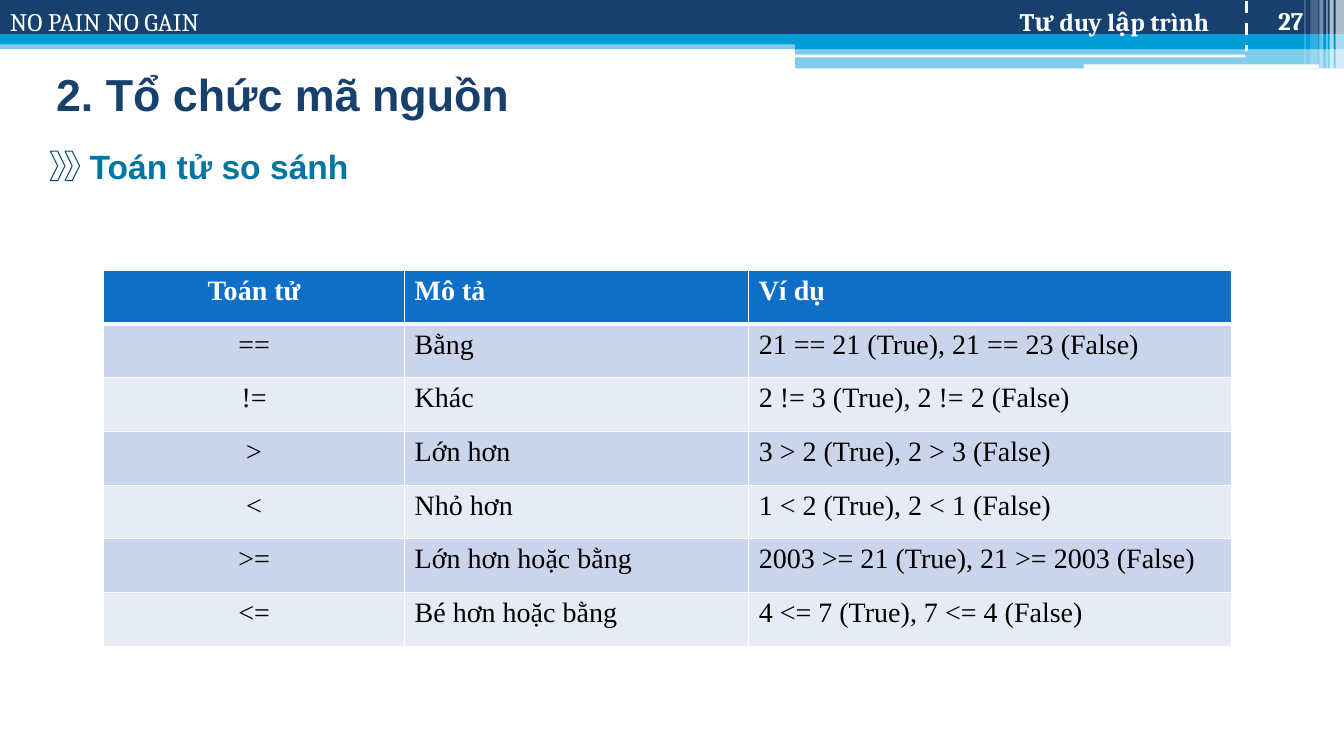
from dataclasses import dataclass

from lxml import etree
from pptx import Presentation
from pptx.dml.color import RGBColor
from pptx.enum.dml import MSO_LINE
from pptx.enum.shapes import MSO_CONNECTOR, MSO_SHAPE
from pptx.enum.text import MSO_ANCHOR, PP_ALIGN
from pptx.oxml.ns import qn
from pptx.slide import Slide
from pptx.table import _Cell
from pptx.text.text import _Paragraph
from pptx.util import Pt

RECT, ROUNDED, CHEVRON = MSO_SHAPE.RECTANGLE, MSO_SHAPE.ROUNDED_RECTANGLE, MSO_SHAPE.CHEVRON
STRAIGHT, DASH = MSO_CONNECTOR.STRAIGHT, MSO_LINE.DASH
TOP, MIDDLE, BOTTOM = MSO_ANCHOR.TOP, MSO_ANCHOR.MIDDLE, MSO_ANCHOR.BOTTOM
LEFT, CENTER, RIGHT = PP_ALIGN.LEFT, PP_ALIGN.CENTER, PP_ALIGN.RIGHT

WHITE = RGBColor(0xFF, 0xFF, 0xFF)
BLACK = RGBColor(0, 0, 0)
NAVY = RGBColor(0x17, 0x40, 0x6D)
CYAN = RGBColor(0x00, 0x9D, 0xD9)
TEAL = RGBColor(0x00, 0x75, 0xA2)
DARK_TEAL = RGBColor(0x00, 0x4E, 0x6C)
HEADER_BLUE = RGBColor(0x0F, 0x6F, 0xC6)
BAND_DARK = RGBColor(0xCA, 0xD4, 0xEA)
BAND_LIGHT = RGBColor(0xE6, 0xEB, 0xF5)


@dataclass(frozen=True)
class Bar:
    left: float
    top: float
    width: float
    height: float
    color: RGBColor
    opacity: int = 100
    outline: MSO_SHAPE = RECT


@dataclass(frozen=True)
class Label:
    text: str
    left: float
    top: float
    width: float
    height: float
    size: float
    font: str
    color: RGBColor
    bold: bool = True
    align: PP_ALIGN = LEFT
    anchor: MSO_ANCHOR = TOP
    inset_y: float = 3.6
    inset_right: float = 7.2


BANNER = [
    Bar(0, 28.8, 960, 6.4, CYAN, 50),
    Bar(0, 0, 960, 24.5, NAVY),
    Bar(0, 24.5, 960, 7.2, CYAN),
    Bar(568, 28, 392, 7.2, CYAN),
    Bar(568, 34.6, 392, 14.2, CYAN, 50),
    Bar(567.5, 39, 322, 2, WHITE, outline=ROUNDED),
    Bar(774, 46, 168, 2.8, WHITE, outline=ROUNDED),
    Bar(954, 0, 6, 49, WHITE, 65),
    Bar(949.7, 0, 2.9, 49, WHITE, 65),
    Bar(947.5, 0, 0.9, 49, WHITE, 60),
    Bar(942.5, 0, 2.9, 49, WHITE, 40),
    Bar(936, 0, 5.8, 46, WHITE, 20),
    Bar(931.7, 0, 0.9, 46, WHITE, 30),
]

LABELS = [
    Label("NO PAIN NO GAIN", 0, 0.7, 256, 29, 18, "Cambria", WHITE, bold=False),
    Label("Tư duy lập trình", 416, 0.7, 466.6, 29, 18, "Cambria", WHITE,
          align=RIGHT, anchor=BOTTOM, inset_right=19),
    Label("2. Tổ chức mã nguồn", 33, 36, 848, 62, 32, "Arial", NAVY, anchor=MIDDLE),
    Label("27", 880, 0, 58, 29, 18, "Cambria", WHITE, align=RIGHT, anchor=BOTTOM),
    Label("Toán tử so sánh", 57, 97.2, 393, 35.3, 24, "Arial", TEAL, inset_y=7.2),
]

OPERATORS = [
    ("Toán tử", "Mô tả", "Ví dụ"),
    ("==", "Bằng", "21 == 21 (True), 21 == 23 (False)"),
    ("!=", "Khác", "2 != 3 (True), 2 != 2 (False)"),
    (">", "Lớn hơn", "3 > 2 (True), 2 > 3 (False)"),
    ("<", "Nhỏ hơn", "1 < 2 (True), 2 < 1 (False)"),
    (">=", "Lớn hơn hoặc bằng", "2003 >= 21 (True), 21 >= 2003 (False)"),
    ("<=", "Bé hơn hoặc bằng", "4 <= 7 (True), 7 <= 4 (False)"),
]
COLUMN_WIDTHS = (215, 245.8, 344.9)
ROW_HEIGHT = 38.4


def add_run(paragraph: _Paragraph, text: str, size: float, font: str,
            color: RGBColor, bold: bool) -> None:
    run = paragraph.add_run()
    run.text = text
    run.font.size = Pt(size)
    run.font.name = font
    run.font.bold = bold
    run.font.color.rgb = color


def draw_bar(slide: Slide, bar: Bar) -> None:
    shape = slide.shapes.add_shape(bar.outline, Pt(bar.left), Pt(bar.top),
                                   Pt(bar.width), Pt(bar.height))
    shape.shadow.inherit = False
    shape.line.fill.background()
    shape.fill.solid()
    shape.fill.fore_color.rgb = bar.color
    if bar.opacity < 100:
        color = shape.fill._xPr.find(qn("a:solidFill"))[0]
        etree.SubElement(color, qn("a:alpha"), val=str(bar.opacity * 1000))


def draw_label(slide: Slide, label: Label) -> None:
    box = slide.shapes.add_textbox(Pt(label.left), Pt(label.top),
                                   Pt(label.width), Pt(label.height))
    frame = box.text_frame
    frame.word_wrap = True
    frame.vertical_anchor = label.anchor
    frame.margin_left = Pt(7.2)
    frame.margin_right = Pt(label.inset_right)
    frame.margin_top = frame.margin_bottom = Pt(label.inset_y)
    paragraph = frame.paragraphs[0]
    paragraph.alignment = label.align
    add_run(paragraph, label.text, label.size, label.font, label.color, label.bold)


def draw_divider(slide: Slide) -> None:
    """Dashed line between the course name and the page number."""
    divider = slide.shapes.add_connector(STRAIGHT, Pt(890.6), Pt(0.7), Pt(890.6), Pt(36.7))
    divider.line.color.rgb = WHITE
    divider.line.width = Pt(2.25)
    divider.line.dash_style = DASH
    etree.SubElement(divider._element.spPr, qn("a:effectLst"))


def draw_chevron(slide: Slide, left: float) -> None:
    chevron = slide.shapes.add_shape(CHEVRON, Pt(left), Pt(108), Pt(10.4), Pt(21))
    chevron.shadow.inherit = False
    chevron.fill.background()
    chevron.line.color.rgb = DARK_TEAL
    chevron.line.width = Pt(0.75)


def set_borders(cell: _Cell, widths: dict[str, float]) -> None:
    properties = cell._tc.get_or_add_tcPr()
    for side, width in widths.items():
        line = etree.SubElement(properties, qn(f"a:ln{side}"), w=str(Pt(width)))
        fill = etree.SubElement(line, qn("a:solidFill"))
        etree.SubElement(fill, qn("a:srgbClr"), val=str(WHITE))


def draw_operator_table(slide: Slide) -> None:
    table = slide.shapes.add_table(
        len(OPERATORS), len(COLUMN_WIDTHS), Pt(74), Pt(193),
        Pt(sum(COLUMN_WIDTHS)), Pt(ROW_HEIGHT * len(OPERATORS))).table
    for column, width in zip(table.columns, COLUMN_WIDTHS):
        column.width = Pt(width)
    for row_index, texts in enumerate(OPERATORS):
        table.rows[row_index].height = Pt(ROW_HEIGHT)
        is_header = row_index == 0
        band = BAND_DARK if row_index % 2 else BAND_LIGHT
        for column_index, text in enumerate(texts):
            cell = table.cell(row_index, column_index)
            set_borders(cell, {"L": 1, "R": 1, "T": 3 if row_index == 1 else 1,
                               "B": 3 if is_header else 1})
            cell.fill.solid()
            cell.fill.fore_color.rgb = HEADER_BLUE if is_header else band
            paragraph = cell.text_frame.paragraphs[0]
            paragraph.alignment = CENTER if column_index == 0 else LEFT
            add_run(paragraph, text, 20, "Times New Roman",
                    WHITE if is_header else BLACK, is_header)


def main() -> None:
    deck = Presentation()
    deck.slide_width, deck.slide_height = Pt(960), Pt(540)
    slide = deck.slides.add_slide(deck.slide_layouts[6])
    for bar in BANNER:
        draw_bar(slide, bar)
    draw_divider(slide)
    for left in (36, 46.4):
        draw_chevron(slide, left)
    for label in LABELS:
        draw_label(slide, label)
    draw_operator_table(slide)
    deck.save("out.pptx")


if __name__ == "__main__":
    main()
